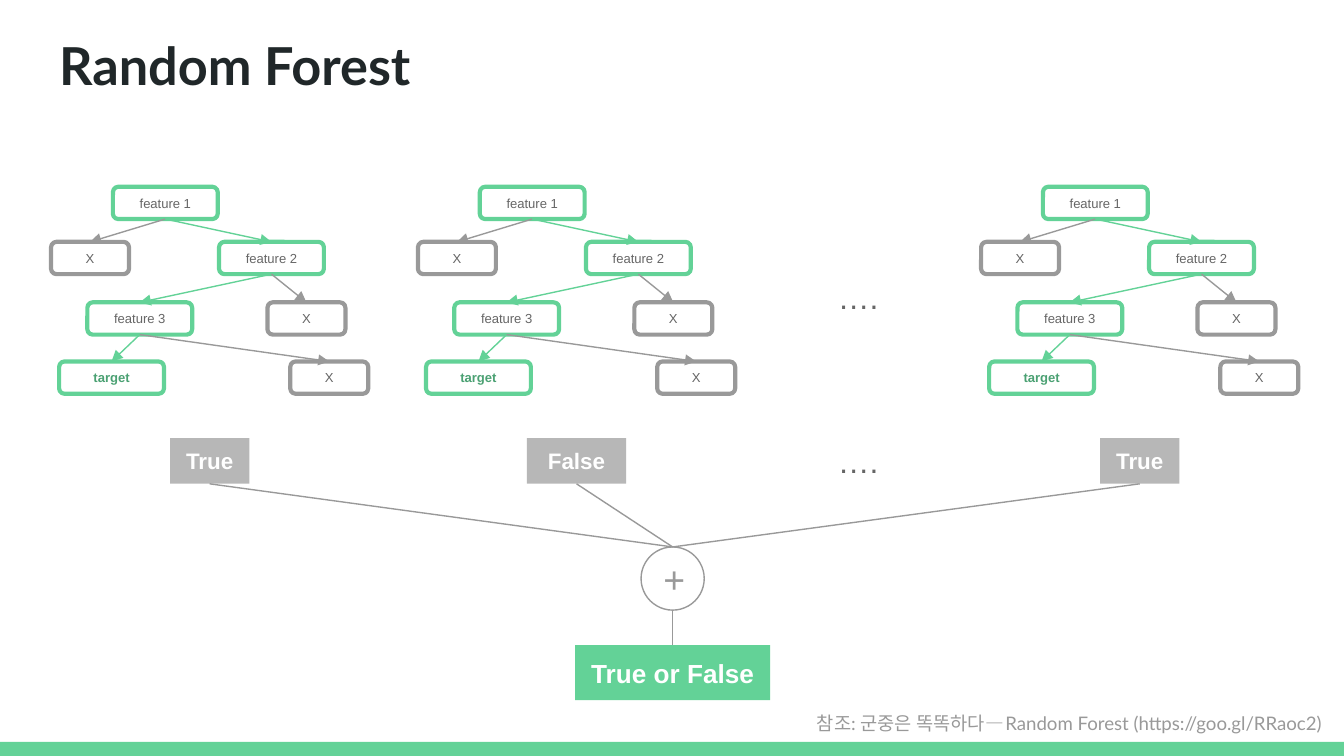
from dataclasses import dataclass
from typing import Any, NamedTuple, Optional

from lxml import etree
from pptx import Presentation
from pptx.dml.color import RGBColor
from pptx.enum.shapes import MSO_CONNECTOR, MSO_SHAPE
from pptx.enum.text import MSO_ANCHOR, PP_ALIGN
from pptx.oxml.ns import qn
from pptx.util import Inches, Pt

RECTANGLE = MSO_SHAPE.RECTANGLE
ROUNDED = MSO_SHAPE.ROUNDED_RECTANGLE
OVAL = MSO_SHAPE.OVAL
STRAIGHT = MSO_CONNECTOR.STRAIGHT
LEFT, CENTER, RIGHT = PP_ALIGN.LEFT, PP_ALIGN.CENTER, PP_ALIGN.RIGHT
TOP, MIDDLE = MSO_ANCHOR.TOP, MSO_ANCHOR.MIDDLE
TOP_SITE, BOTTOM_SITE = 0, 2
HAIR_SPACE = chr(0x200A)


@dataclass(frozen=True)
class Theme:
    green: str = "63D297"
    dark_green: str = "4BA173"
    gray: str = "999999"
    light_gray: str = "B7B7B7"
    text: str = "666666"
    ink: str = "202729"
    white: str = "FFFFFF"
    heading_font: str = "Lato"
    body_font: str = "Arial"
    title_size: int = 28
    symbol_size: int = 20
    dots_size: int = 17
    result_size: int = 14
    vote_size: int = 12
    source_size: int = 10
    node_size: int = 7
    node_line: float = 2.25
    thin_line: float = 0.75


THEME = Theme()


class Area(NamedTuple):
    left: float
    top: float
    width: float
    height: float


class Style(NamedTuple):
    size: int
    color: str
    bold: bool = False
    font: str = THEME.body_font
    align: PP_ALIGN = CENTER
    anchor: MSO_ANCHOR = MIDDLE


class Node(NamedTuple):
    label: str
    left: float
    level: int
    on_path: bool


class Edge(NamedTuple):
    parent: int
    child: int


class Vote(NamedTuple):
    label: str
    tree_left: float
    center: float
    width: float


NODE_HEIGHT = 0.24
PATH_WIDTH, LEAF_WIDTH = 0.78, 0.58
LEVEL_TOPS = (1.39, 1.8, 2.25, 2.69)
NODES = (
    Node("feature 1", 0.46, 0, True),
    Node("X", 0, 1, False),
    Node("feature 2", 1.25, 1, True),
    Node("feature 3", 0.27, 2, True),
    Node("X", 1.61, 2, False),
    Node("X", 1.78, 3, False),
    Node("target", 0.06, 3, True),
)
EDGES = (Edge(0, 1), Edge(0, 2), Edge(2, 3), Edge(2, 4), Edge(3, 6), Edge(3, 5))
VOTES = (
    Vote("True", 0.38, 1.56, 0.59),
    Vote("False", 3.11, 4.29, 0.74),
    Vote("True", 7.3, 8.48, 0.59),
)
VOTE_TOP, VOTE_HEIGHT = 3.26, 0.34
DOTS_TOPS = (2.04, VOTE_TOP)


def lengths(area: Area) -> list[int]:
    return [Inches(value) for value in area]


def write(shape: Any, text: str, style: Style) -> None:
    frame = shape.text_frame
    frame.word_wrap = True
    frame.vertical_anchor = style.anchor
    frame.margin_left = frame.margin_right = Inches(0.1)
    frame.margin_top = frame.margin_bottom = Inches(0.1)
    para = frame.paragraphs[0]
    para.text = text
    para.alignment = style.align
    para.font.name = style.font
    para.font.size = Pt(style.size)
    para.font.bold = style.bold
    para.font.color.rgb = RGBColor.from_string(style.color)


def add_text(shapes: Any, area: Area, text: str, style: Style) -> None:
    write(shapes.add_textbox(*lengths(area)), text, style)


def add_box(shapes: Any, kind: MSO_SHAPE, area: Area, fill: Optional[str] = None,
            line: Optional[str] = None, weight: float = THEME.thin_line) -> Any:
    box = shapes.add_shape(kind, *lengths(area))
    box.shadow.inherit = False
    if fill:
        box.fill.solid()
        box.fill.fore_color.rgb = RGBColor.from_string(fill)
    else:
        box.fill.background()
    if line:
        box.line.color.rgb = RGBColor.from_string(line)
        box.line.width = Pt(weight)
    else:
        box.line.fill.background()
    return box


def add_link(shapes: Any, upper: Any, lower: Any, color: str, arrow: bool = False,
             joined_above: bool = True) -> None:
    link = shapes.add_connector(
        STRAIGHT, upper.left + upper.width // 2, upper.top + upper.height,
        lower.left + lower.width // 2, lower.top)
    if joined_above:
        link.begin_connect(upper, BOTTOM_SITE)
    link.end_connect(lower, TOP_SITE)
    link.line.color.rgb = RGBColor.from_string(color)
    link.line.width = Pt(THEME.thin_line)
    if arrow:
        etree.SubElement(link.line._get_or_add_ln(), qn("a:tailEnd"), type="triangle")
    etree.SubElement(link._element.spPr, qn("a:effectLst"))


def path_color(node: Node) -> str:
    return THEME.green if node.on_path else THEME.gray


def add_tree(shapes: Any, left: float) -> None:
    tree = shapes.add_group_shape().shapes
    boxes = []
    for node in NODES:
        width = PATH_WIDTH if node.on_path else LEAF_WIDTH
        area = Area(left + node.left, LEVEL_TOPS[node.level], width, NODE_HEIGHT)
        box = add_box(tree, ROUNDED, area, line=path_color(node), weight=THEME.node_line)
        is_target = node.label == "target"
        color = THEME.dark_green if is_target else THEME.text
        write(box, node.label, Style(THEME.node_size, color, is_target))
        boxes.append(box)
    for edge in EDGES:
        add_link(tree, boxes[edge.parent], boxes[edge.child],
                 path_color(NODES[edge.child]), arrow=True)


def main() -> None:
    deck = Presentation()
    deck.slide_width = Inches(10)
    deck.slide_height = deck.slide_width * 9 // 16
    slide = deck.slides.add_slide(deck.slide_layouts[5])
    shapes = slide.shapes

    title = shapes.title
    title.left, title.top, title.width, title.height = lengths(Area(0.34, 0.15, 9.32, 0.63))
    write(title, "Random Forest",
          Style(THEME.title_size, THEME.ink, True, THEME.heading_font, LEFT, TOP))
    bar = add_box(shapes, RECTANGLE, Area(0, 5.52, 10, 0.11), THEME.green)
    bar.height = deck.slide_height - bar.top

    for vote in VOTES:
        add_tree(shapes, vote.tree_left)
    for top in DOTS_TOPS:
        add_text(shapes, Area(5.94, top, 0.89, 0.34), "….", Style(THEME.dots_size, THEME.text))

    circle = add_box(shapes, OVAL, Area(4.77, 4.07, 0.47, 0.47), THEME.white, THEME.gray)
    write(circle, "+", Style(THEME.symbol_size, THEME.gray))
    for vote in VOTES:
        area = Area(vote.center - vote.width / 2, VOTE_TOP, vote.width, VOTE_HEIGHT)
        box = add_box(shapes, RECTANGLE, area, THEME.light_gray)
        write(box, vote.label, Style(THEME.vote_size, THEME.white, True))
        add_link(shapes, box, circle, THEME.gray)

    result = add_box(shapes, RECTANGLE, Area(4.28, 4.8, 1.45, 0.41), THEME.green)
    write(result, "True or False", Style(THEME.result_size, THEME.white, True))
    add_link(shapes, circle, result, THEME.gray, joined_above=False)

    source = HAIR_SPACE.join(
        ("참조: 군중은 똑똑하다", "—", "Random Forest (https://goo.gl/RRaoc2)"))
    add_text(shapes, Area(0.08, 5.21, 9.85, 0.32), source,
             Style(THEME.source_size, THEME.gray, False, THEME.heading_font, RIGHT, TOP))
    deck.save("out.pptx")


if __name__ == "__main__":
    main()
